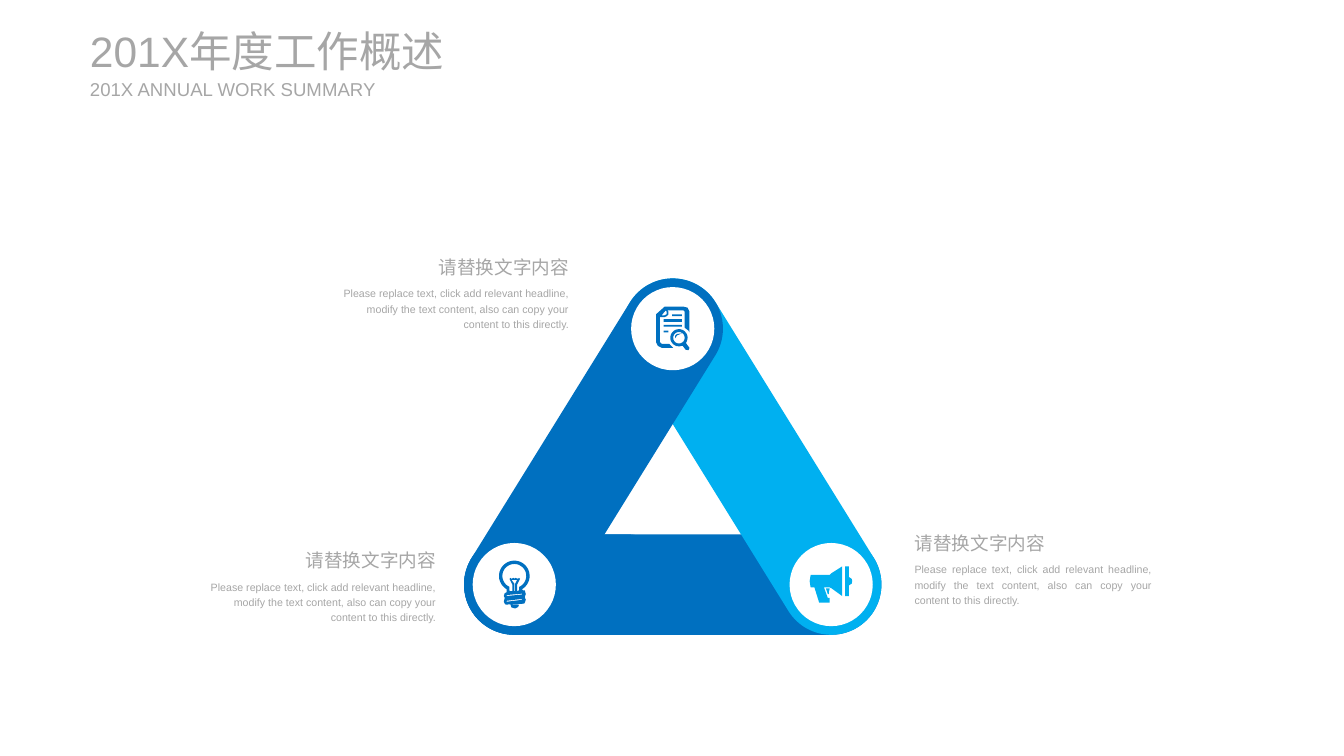
from math import atan2, cos, degrees, hypot, radians, sin

from pptx import Presentation
from pptx.dml.color import RGBColor
from pptx.enum.shapes import MSO_SHAPE as Preset
from pptx.enum.text import MSO_ANCHOR as Anchor, MSO_AUTO_SIZE as AutoSize, PP_ALIGN as Align
from pptx.util import Cm, Pt

DARK_BLUE = RGBColor(0x00, 0x70, 0xC0)
LIGHT_BLUE = RGBColor(0x00, 0xB0, 0xF0)
WHITE = RGBColor(0xFF, 0xFF, 0xFF)
GREY = RGBColor(0xA6, 0xA6, 0xA6)

BAND = 2.67
DISC = 2.21
ICON_UNIT = 0.0254
ICON_STEPS = 10

HEADLINE = "请替换文字内容"
BODY = ("Please replace text, click add relevant headline, modify the text content, "
        "also can copy your content to this directly.")


def arc(cx, cy, radius, start, sweep, steps=48):
    angles = [radians(start + sweep * i / steps) for i in range(steps + 1)]
    return [(cx + radius * cos(a), cy + radius * sin(a)) for a in angles]


def block(left, top, right, bottom):
    return [(left, top), (right, top), (right, bottom), (left, bottom)]


DOCUMENT = (35, 46), [
    [(10, 0), (29, 0), (33, 1), (35, 5), (35, 27), (34, 25), (30, 22), (30, 5),
     (29, 4), (12, 4), (13, 5), (13, 8), (11, 10), (9, 11), (4, 11), (4, 37),
     (6, 39), (14, 39), (18, 43), (6, 43), (2, 41), (0, 37), (0, 8), (9, 0)],
    block(8, 25, 13, 27),
    block(8, 19, 27, 21),
    block(8, 13, 27, 16),
    block(17, 8, 27, 10),
    arc(24, 32.5, 9, 69, 326) + [(32, 39), (35, 43), (34, 45.5), (31, 45), (28, 41)],
    arc(24, 32.5, 6, 0, 360),
    [(20, 33), (22, 30), (27, 28), (22, 28.5), (20, 30.5)],
    [(10, 4), (6, 9), (9, 9), (11, 8), (11, 5)],
]
BULB = (32, 50), [
    arc(16, 16, 16, 120, 300) + [
        (25, 31), (27, 31), (28, 35), (27, 38), (28, 41), (27, 44), (26, 45),
        (7, 46), (6, 45), (5, 43), (6, 39), (5, 37), (6, 34), (8, 33)],
    arc(16, 16, 12.5, 114, 312) + [
        (21, 31), (19, 32), (19, 25), (22, 19), (21, 18), (20, 19), (17, 18),
        (16, 19), (15, 18), (13, 19), (12, 18), (11, 19), (14, 25), (14, 32), (11, 32)],
    [(19, 20), (13, 20), (16, 24), (16, 32), (17, 32), (17, 24)],
    [(12, 46), (13, 49), (17, 50), (20, 48.5), (21, 46)],
    [(8, 42), (24, 40), (24, 41), (8, 43)],
    [(8, 36), (24, 34.5), (24, 35.5), (8, 37)],
]
MEGAPHONE = (45, 38), [
    [(1, 9), (21, 9), (23, 7), (34, 0), (34, 31), (23, 23), (21, 22), (15, 22),
     (19, 33), (21, 33), (21, 38), (10, 38), (5, 22), (1, 22), (0, 15.5)],
    [(37, 0), (41, 0), (41, 11), (44, 13), (44.5, 15.5), (44, 18), (41, 20),
     (41, 31), (37, 31)],
    [(21, 23), (17, 23), (19, 29), (20, 29), (20, 27)],
]


def paint(shape, colour):
    shape.shadow.inherit = False
    shape.fill.solid()
    shape.fill.fore_color.rgb = colour
    shape.line.fill.background()


def add_band(slide, start, end, colour):
    (x1, y1), (x2, y2) = start, end
    length = hypot(x2 - x1, y2 - y1) + BAND
    band = slide.shapes.add_shape(
        Preset.ROUNDED_RECTANGLE, Cm((x1 + x2 - length) / 2), Cm((y1 + y2 - BAND) / 2),
        Cm(length), Cm(BAND))
    band.adjustments[0] = 0.5
    band.rotation = degrees(atan2(y2 - y1, x2 - x1))
    paint(band, colour)


def add_disc(slide, centre):
    x, y = centre
    disc = slide.shapes.add_shape(
        Preset.OVAL, Cm(x - DISC / 2), Cm(y - DISC / 2), Cm(DISC), Cm(DISC))
    paint(disc, WHITE)


def add_icon(slide, centre, icon, colour):
    (width, height), contours = icon
    scaled = [[(x * ICON_STEPS, y * ICON_STEPS) for x, y in contour] for contour in contours]
    outline = slide.shapes.build_freeform(*scaled[0][0], scale=Cm(ICON_UNIT) / ICON_STEPS)
    for i, contour in enumerate(scaled):
        if i:
            outline.move_to(*contour[0])
        outline.add_line_segments(contour[1:], close=True)
    x, y = centre
    paint(outline.convert_to_shape(Cm(x - width * ICON_UNIT / 2),
                                   Cm(y - height * ICON_UNIT / 2)), colour)


def add_triangle(slide, left, top, width, height):
    inset = BAND / 2
    base = top + height - inset
    apex = left + width / 2, top + inset
    left_corner = left + inset, base
    right_corner = left + width - inset, base
    base_middle = left + width * 0.39, base

    add_band(slide, left_corner, right_corner, DARK_BLUE)
    add_band(slide, apex, right_corner, LIGHT_BLUE)
    add_band(slide, left_corner, apex, DARK_BLUE)
    add_band(slide, left_corner, base_middle, DARK_BLUE)
    for corner, icon, colour in ((apex, DOCUMENT, DARK_BLUE),
                                 (left_corner, BULB, DARK_BLUE),
                                 (right_corner, MEGAPHONE, LIGHT_BLUE)):
        add_disc(slide, corner)
        add_icon(slide, corner, icon, colour)


def add_text(slide, left, top, width, height, wording, size, align=Align.LEFT):
    box = slide.shapes.add_textbox(Cm(left), Cm(top), Cm(width), Cm(height))
    frame = box.text_frame
    frame.word_wrap = True
    frame.auto_size = AutoSize.SHAPE_TO_FIT_TEXT
    frame.text = wording
    paragraph = frame.paragraphs[0]
    paragraph.alignment = align
    paragraph.font.name = "Arial"
    paragraph.font.size = Pt(size)
    paragraph.font.color.rgb = GREY
    return frame


def add_caption(slide, left, top, width, headline_align, body_align):
    headline = add_text(slide, left, top, width, 0.91, HEADLINE, 14, headline_align)
    body = add_text(slide, left, top + 0.89, width, 1.45, BODY, 8, body_align)
    for frame in (headline, body):
        frame.paragraphs[0].line_spacing = 1.2


def add_title(slide, left, top, width):
    title = add_text(slide, left, top, width, 1.37, "201X年度工作概述", 32)
    subtitle = add_text(slide, left, top + 1.4, width, 0.6, "201X ANNUAL WORK SUMMARY", 14)
    for frame in (title, subtitle):
        frame.vertical_anchor = Anchor.MIDDLE
        frame.margin_left = frame.margin_right = frame.margin_top = frame.margin_bottom = 0


def main():
    deck = Presentation()
    deck.slide_width, deck.slide_height = Cm(35.71), Cm(20.09)
    slide = deck.slides.add_slide(deck.slide_layouts[6])
    add_triangle(slide, 12.33, 7.4, 11.09, 9.47)
    add_caption(slide, 24.05, 13.89, 6.81, Align.LEFT, Align.JUSTIFY)
    add_caption(slide, 8.79, 6.55, 6.58, Align.RIGHT, Align.RIGHT)
    add_caption(slide, 5.26, 14.35, 6.58, Align.RIGHT, Align.RIGHT)
    add_title(slide, 2.39, 0.66, 10.97)
    deck.save("out.pptx")


if __name__ == "__main__":
    main()
